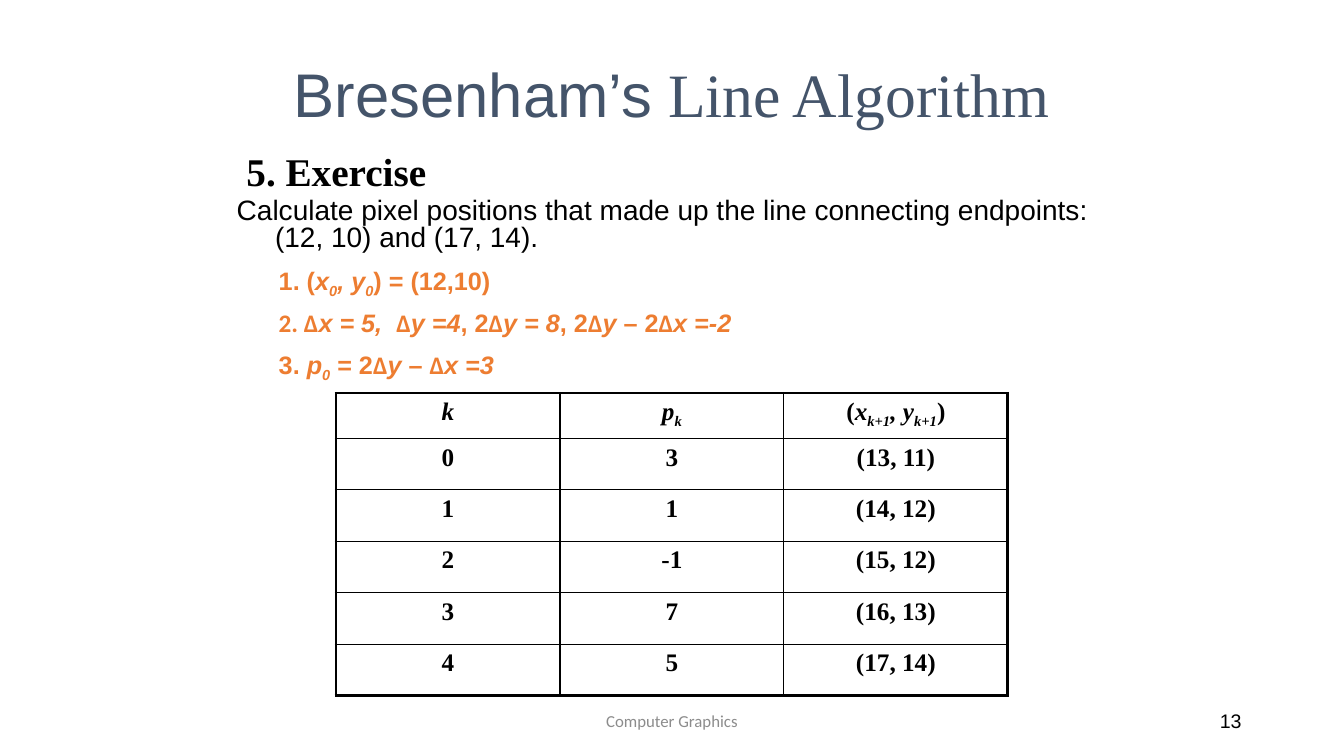
"""Build the slide with the worked Bresenham line exercise."""
from lxml import etree
from pptx import Presentation, util as u
from pptx.dml.color import RGBColor
from pptx.enum import text as t
from pptx.oxml import ns

BLACK = RGBColor(0, 0, 0)
SLATE = RGBColor(0x44, 0x54, 0x6A)
ORANGE = RGBColor(0xED, 0x7D, 0x31)
GREY = RGBColor(0x8C, 0x8C, 0x8C)
SANS, SERIF, GREEK = "Arial", "Times New Roman", "Calibri"
COLS, ROWS = 160, 90
UNIT = u.Inches(13.33) // COLS
THICK, THIN = 2.25, 1

STEPS = [
    "1. (|*x|_0|*, y|_0|) = (12,10)",
    "2. Δ|*x = 5,  |Δ|*y =4|, 2|Δ|*y = 8|, 2|Δ|*y| – 2|Δ|*x =-2",
    "3. |*p|_0| = 2|Δ|*y| – |Δ|*x =3",
]
GRID = [
    ["*k", "*p|_k", "(|*x|_k+1|*, y|_k+1|)"],
    ["0", "3", "(13, 11)"],
    ["1", "1", "(14, 12)"],
    ["2", "-1", "(15, 12)"],
    ["3", "7", "(16, 13)"],
    ["4", "5", "(17, 14)"],
]


def span(*cells):
    """Turn grid units into slide lengths."""
    return [u.Emu(round(c * UNIT)) for c in cells]


def put(item, form):
    """Set every attribute named in a dict."""
    for key, val in form.items():
        setattr(item, key, val)


def write(para, line, size, face=SANS, color=BLACK, bold=False, **form):
    """Write marked-up runs: * italic, _ italic subscript, ~ serif."""
    put(para, form)
    for part in line.split("|"):
        mark = part[0] if part[0] in "*_~" else ""
        run = para.add_run()
        run.text = part[len(mark):]
        name = GREEK if "Δ" in part else SERIF if mark == "~" else face
        put(run.font, {"name": name, "size": u.Pt(size), "bold": bold,
                       "italic": mark in ("*", "_")})
        run.font.color.rgb = color
        if mark == "_":
            run.font._element.set("baseline", "-25000")


def box(slide, place, anchor=t.MSO_ANCHOR.TOP, wrap=True):
    """Add a text box and return its frame."""
    frame = slide.shapes.add_textbox(*span(*place)).text_frame
    put(frame, {"word_wrap": wrap, "vertical_anchor": anchor})
    return frame


def label(slide, place, line, size, **form):
    """Add a one-line label centred in height."""
    frame = box(slide, place, t.MSO_ANCHOR.MIDDLE)
    write(frame.paragraphs[0], line, size, **form)


def hang(para):
    """Give a paragraph a hanging indent."""
    props = para._p.get_or_add_pPr()
    props.set("marL", str(u.Inches(0.38)))
    props.set("indent", str(-u.Inches(0.38)))


def task(slide):
    """Add the heading and the question."""
    frame = box(slide, (27, 18, 108, 14))
    head, ask = frame.paragraphs[0], frame.add_paragraph()
    write(head, " 5. Exercise", 28, SERIF, bold=True,
          line_spacing=0.8, space_before=u.Pt(5.6))
    write(ask, "Calculate pixel positions that made up the line connecting "
          "endpoints: (12, 10) and (17, 14).", 20,
          line_spacing=0.8, space_before=u.Pt(4))
    for para in (head, ask):
        hang(para)


def edge(cell, side, width):
    """Draw one border of a cell."""
    props = cell._tc.get_or_add_tcPr()
    line = etree.SubElement(props, ns.qn("a:ln" + side), w=str(u.Pt(width)))
    fill = etree.SubElement(line, ns.qn("a:solidFill"))
    etree.SubElement(fill, ns.qn("a:srgbClr"), val=str(BLACK))


def table(slide):
    """Add the table of decision values and pixels."""
    high, wide = len(GRID), len(GRID[0])
    grid = slide.shapes.add_table(high, wide, *span(40, 46.8, 80, 35.8)).table
    put(grid, {"first_row": False, "horz_banding": False})
    for r, row in enumerate(GRID):
        grid.rows[r].height = u.Inches(0.51 if r else 0.45)
        for c, line in enumerate(row):
            cell = grid.cell(r, c)
            write(cell.text_frame.paragraphs[0], line, 18, SERIF, bold=True,
                  alignment=t.PP_ALIGN.CENTER, space_before=u.Pt(3.6))
            outer = {"L": c == 0, "R": c == wide - 1,
                     "T": r == 0, "B": r == high - 1}
            for side, thick in outer.items():
                edge(cell, side, THICK if thick else THIN)
            cell.fill.background()


def main():
    """Build and save the slide."""
    deck = Presentation()
    put(deck, {"slide_width": COLS * UNIT, "slide_height": ROWS * UNIT})
    slide = deck.slides.add_slide(deck.slide_layouts[6])
    mid, right = t.PP_ALIGN.CENTER, t.PP_ALIGN.RIGHT
    label(slide, (53, 83.4, 54, 4.8), "Computer Graphics", 12,
          face=GREEK, color=GREY, alignment=mid)
    label(slide, (113, 83.4, 36, 4.8), "13", 14, alignment=right)
    label(slide, (26, 3.6, 108, 15), "Bresenham’s|~ Line Algorithm", 44,
          color=SLATE, alignment=mid)
    task(slide)
    for i, line in enumerate(STEPS):
        frame = box(slide, (32, 31 + 5 * i, 70, 4.8), wrap=False)
        write(frame.paragraphs[0], line, 18, color=ORANGE, bold=True)
    table(slide)
    deck.save("out.pptx")


if __name__ == "__main__":
    main()
